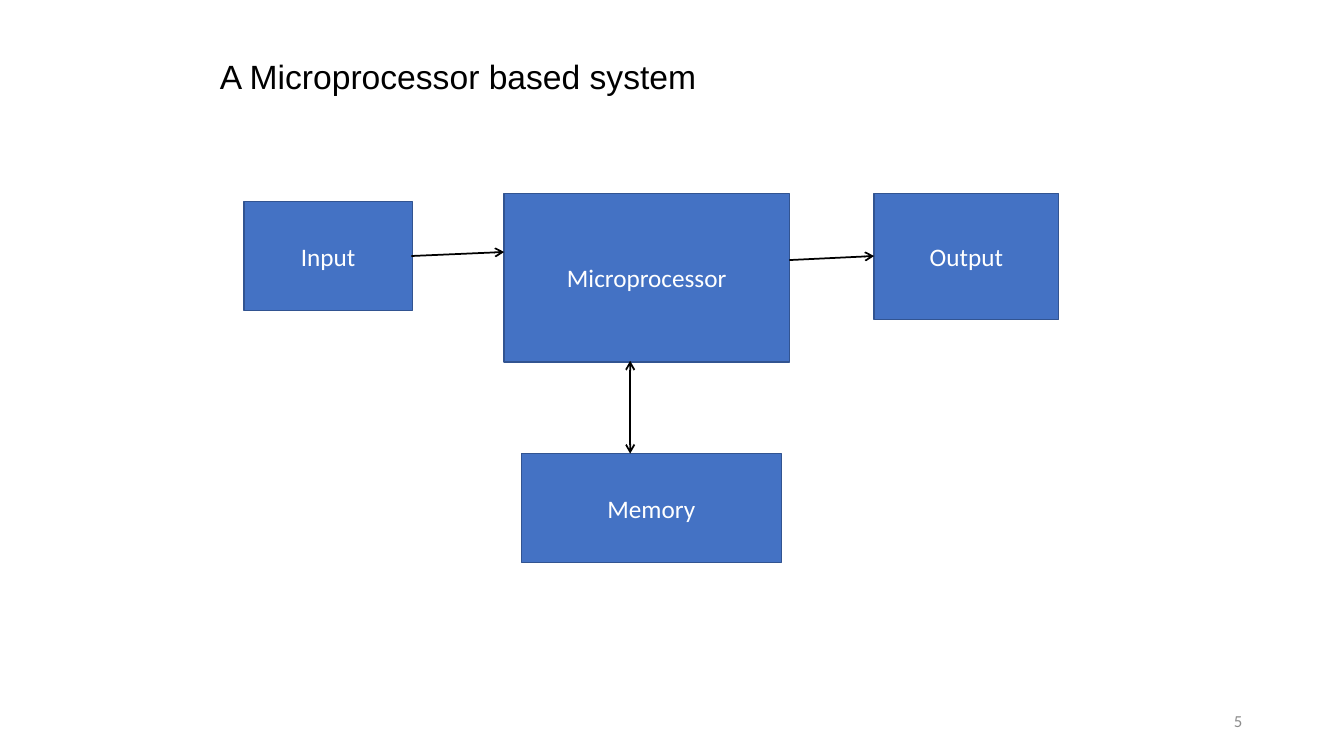
from lxml import etree
from pptx import Presentation
from pptx.dml.color import RGBColor
from pptx.enum.shapes import MSO_CONNECTOR, MSO_SHAPE
from pptx.enum.text import MSO_ANCHOR, MSO_AUTO_SIZE, PP_ALIGN
from pptx.oxml.ns import qn
from pptx.util import Inches, Pt

RECT = MSO_SHAPE.RECTANGLE
STRAIGHT = MSO_CONNECTOR.STRAIGHT
TOP, MIDDLE = MSO_ANCHOR.TOP, MSO_ANCHOR.MIDDLE
LEFT, CENTER, RIGHT = PP_ALIGN.LEFT, PP_ALIGN.CENTER, PP_ALIGN.RIGHT
GROW = MSO_AUTO_SIZE.SHAPE_TO_FIT_TEXT

COLORS = {"title": "000000", "block": "4472C4", "edge": "325491",
          "label": "FFFFFF", "arrow": "000000", "number": "8C8C8C"}
FORMATS = {
    "title": {"name": "Arial", "size": Pt(24), "bold": False},
    "label": {"name": "Calibri", "size": Pt(18)},
    "number": {"name": "Calibri", "size": Pt(12)},
}
BLOCKS = [
    ("Input", 2.42, 2, 1.67, 1.08),
    ("Microprocessor", 5, 1.92, 2.83, 1.67),
    ("Output", 8.67, 1.92, 1.83, 1.25),
    ("Memory", 5.17, 4.5, 2.58, 1.08),
]
ARROWS = [
    (4.08, 2.54, 5, 2.5, ["tailEnd"]),
    (7.83, 2.58, 8.67, 2.54, ["tailEnd"]),
    (6.25, 3.58, 6.25, 4.5, ["headEnd", "tailEnd"]),
]


def color(key):
    return RGBColor.from_string(COLORS[key])


def write(shape, text, role, align, anchor):
    frame = shape.text_frame
    frame.word_wrap = True
    frame.vertical_anchor = anchor
    para = frame.paragraphs[0]
    para.alignment = align
    run = para.add_run()
    run.text = text
    for key, value in FORMATS[role].items():
        setattr(run.font, key, value)
    run.font.color.rgb = color(role)


def add_title(slide, text, *box):
    title = slide.shapes.title
    title.left, title.top, title.width, title.height = map(Inches, box)
    write(title, text, "title", LEFT, TOP)
    title.text_frame.auto_size = GROW


def add_block(slide, text, *box):
    block = slide.shapes.add_shape(RECT, *map(Inches, box))
    block.shadow.inherit = False
    block.fill.solid()
    block.fill.fore_color.rgb = color("block")
    block.line.color.rgb = color("edge")
    block.line.width = Pt(1)
    write(block, text, "label", CENTER, MIDDLE)


def add_arrow(slide, x1, y1, x2, y2, ends):
    """Draw a line with an open arrowhead at each of the named ends."""
    arrow = slide.shapes.add_connector(STRAIGHT, *map(Inches, (x1, y1, x2, y2)))
    arrow.line.color.rgb = color("arrow")
    arrow.line.width = Pt(1.25)
    props = arrow._element.spPr
    for end in ends:
        etree.SubElement(props.find(qn("a:ln")), qn(f"a:{end}"), type="arrow")
    etree.SubElement(props, qn("a:effectLst"))


def add_number(slide, text, *box):
    number = slide.shapes.add_textbox(*map(Inches, box))
    write(number, text, "number", RIGHT, MIDDLE)


def main():
    deck = Presentation()
    deck.slide_width, deck.slide_height = Inches(13.33), Inches(7.5)
    slide = deck.slides.add_slide(deck.slide_layouts.get_by_name("Title Only"))
    add_title(slide, "A Microprocessor based system", 2.08, 0.5, 9.33, 0.5)
    for block in BLOCKS:
        add_block(slide, *block)
    for arrow in ARROWS:
        add_arrow(slide, *arrow)
    add_number(slide, "5", 9.42, 6.95, 3, 0.4)
    deck.save("out.pptx")


if __name__ == "__main__":
    main()
